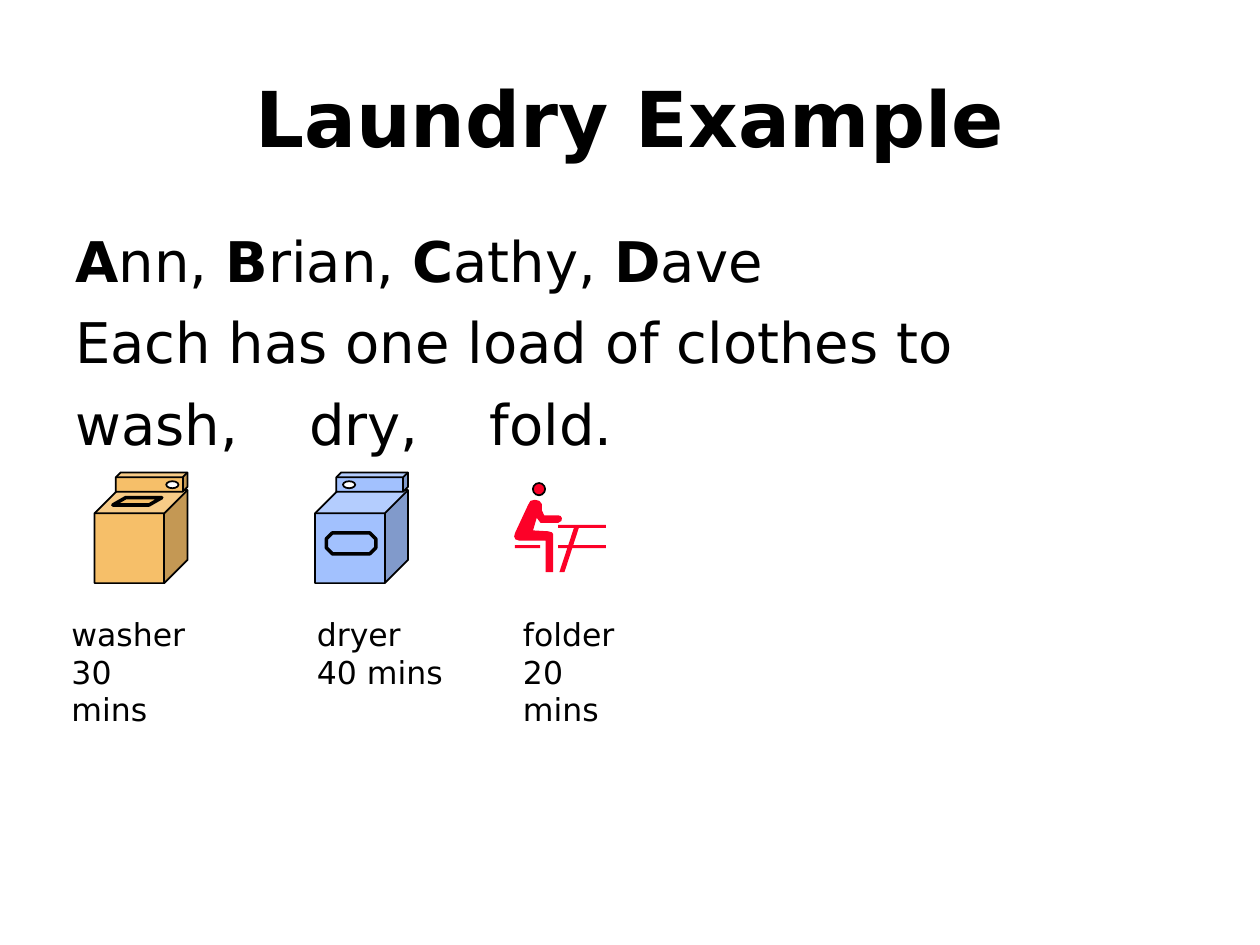
from dataclasses import dataclass

import pptx
import pptx.dml.color
import pptx.enum.shapes
import pptx.enum.text
import pptx.oxml
import pptx.oxml.ns
import pptx.util

Pt = pptx.util.Pt
Kind = pptx.enum.shapes.MSO_SHAPE
Align = pptx.enum.text.PP_ALIGN
Anchor = pptx.enum.text.MSO_ANCHOR


@dataclass(frozen=True)
class Theme:
    font: str = "DejaVu Sans"
    ink: str = "000000"
    white: str = "FFFFFF"
    gold: str = "F6BF69"
    blue: str = "A2C1FE"
    red: str = "FC0128"
    title: int = 44
    body: int = 32
    label: int = 18
    lead: float = 1.2  # line height as a share of the type size


@dataclass(frozen=True)
class Box:
    left: float
    top: float
    width: float
    height: float


@dataclass(frozen=True)
class Part:
    kind: int
    box: Box
    fill: str
    line: float = 0
    adj: float | None = None


@dataclass(frozen=True)
class Label:
    left: float
    width: float
    lines: tuple[str, str]


THEME = Theme()


def color(code: str) -> pptx.dml.color.RGBColor:
    return pptx.dml.color.RGBColor.from_string(code)


def add_text(slide, box: Box, lines, *, size: int, bold: bool = False,
             align=Align.LEFT, anchor=Anchor.TOP, gap: float = 0, tabs=()) -> None:
    """Each line is a string or a list of (text, bold) pairs."""
    area = slide.shapes.add_textbox(Pt(box.left), Pt(box.top), Pt(box.width), Pt(box.height))
    frame = area.text_frame
    frame.word_wrap = True
    frame.vertical_anchor = anchor
    for i, line in enumerate(lines):
        para = frame.paragraphs[0] if i == 0 else frame.add_paragraph()
        para.alignment = align
        para.line_spacing = Pt(size * THEME.lead)
        para.space_before = Pt(gap if i else 0)
        if tabs:
            stops = pptx.oxml.parse_xml(f'<a:tabLst {pptx.oxml.ns.nsdecls("a")}/>')
            for stop in tabs:
                stops.append(pptx.oxml.parse_xml(
                    f'<a:tab {pptx.oxml.ns.nsdecls("a")} pos="{Pt(stop)}" algn="l"/>'))
            para._p.get_or_add_pPr().append(stops)
        for text, strong in ([(line, bold)] if isinstance(line, str) else line):
            run = para.add_run()
            run.text = text
            run.font.name = THEME.font
            run.font.size = Pt(size)
            run.font.bold = strong
            run.font.color.rgb = color(THEME.ink)


def paint(shape, fill: str, line: float = 0) -> None:
    shape.shadow.inherit = False
    shape.fill.solid()
    shape.fill.fore_color.rgb = color(fill)
    if line:
        shape.line.color.rgb = color(THEME.ink)
        shape.line.width = Pt(line)
    else:
        shape.line.fill.background()


def add_part(shapes, part: Part) -> None:
    box = part.box
    shape = shapes.add_shape(part.kind, Pt(box.left), Pt(box.top), Pt(box.width), Pt(box.height))
    if part.adj is not None:
        shape.adjustments[0] = part.adj
    paint(shape, part.fill, part.line)


def add_form(shapes, dots: list[tuple[float, float]], fill: str) -> None:
    ends = [(Pt(x), Pt(y)) for x, y in dots]
    form = shapes.build_freeform(*ends[0])
    form.add_line_segments(ends[1:], close=True)
    paint(form.convert_to_shape(), fill)


def add_unit(slide, left: float, fill: str, dial: float, door: Part) -> None:
    """Draw a washer or dryer: body, back panel, dial and door."""
    shapes = slide.shapes.add_group_shape().shapes
    for part in (
        Part(Kind.CUBE, Box(left, 280, 53.2, 53.2), fill, 1, 0.25),
        Part(Kind.CUBE, Box(left + 12.2, 270, 41, 11), fill, 1, 0.25),
        Part(Kind.OVAL, Box(left + dial, 275, 7, 4), THEME.white, 1),
        door,
    ):
        add_part(shapes, part)


def add_folder(slide) -> None:
    """Draw the person who folds at a table."""
    shapes = slide.shapes.add_group_shape().shapes
    red = THEME.red
    add_form(shapes, [(328.4, 300.4), (331.2, 300.4), (322.6, 326.9), (319.7, 326.9)], red)
    for left, top, width in ((319, 300, 27.2), (319, 311.5, 27.2), (294.3, 311.5, 14.4)):
        add_part(shapes, Part(Kind.RECTANGLE, Box(left, top, width, 1.7), red))
    add_part(shapes, Part(Kind.OVAL, Box(304.5, 276, 7, 7), red, 1))
    add_form(shapes, [
        # back and seat
        (301.7, 288.7), (294.3, 304.6), (293.8, 306.5), (294.5, 308.2), (296.6, 308.9),
        # leg and lap
        (311.8, 308.9), (311.8, 326.9), (316.1, 326.9), (316.1, 305.3), (315.4, 304.2),
        (313.2, 303.6), (304.6, 303.1),
        # arm
        (306.7, 295.9), (308.9, 298.8), (319, 298.8), (320.8, 297.7), (321.1, 296.2),
        (320.4, 294.9), (319, 294.5), (311, 294.5),
        # shoulder
        (309.6, 291.6), (309.6, 288), (308.2, 286.2), (305.6, 285.6), (303.1, 286.2),
    ], red)


def main() -> None:
    deck = pptx.Presentation()
    deck.slide_width, deck.slide_height = Pt(720), Pt(540)
    slide = deck.slides.add_slide(deck.slide_layouts[6])

    # Title and story
    add_text(slide, Box(0, 21.6, 720, 90), ["Laundry Example"], size=THEME.title,
             bold=True, align=Align.CENTER, anchor=Anchor.MIDDLE)
    names = []
    for name in ("Ann, ", "Brian, ", "Cathy, ", "Dave"):
        names += [(name[0], True), (name[1:], False)]
    add_text(slide, Box(36, 126, 684, 356),
             [names, "Each has one load of clothes to", "wash,\tdry,\tfold."],
             size=THEME.body, gap=8, tabs=(133.6, 236.8))

    # Machines and folder
    add_unit(slide, 180, THEME.blue, 16,
             Part(Kind.OCTAGON, Box(186.5, 304.5, 28.3, 12), THEME.blue, 2, 0.29))
    add_folder(slide)
    add_unit(slide, 54, THEME.gold, 41,
             Part(Kind.PARALLELOGRAM, Box(64.5, 284.4, 28, 4.2), THEME.gold, 2, 1.75))

    # Labels with times
    for label in (
        Label(33.8, 80, ("washer", "30 mins")),
        Label(174, 88, ("dryer", "40 mins")),
        Label(291.8, 80, ("folder", "20 mins")),
    ):
        add_text(slide, Box(label.left, 347.8, label.width, 50.4), label.lines, size=THEME.label)

    deck.save("out.pptx")


if __name__ == "__main__":
    main()
